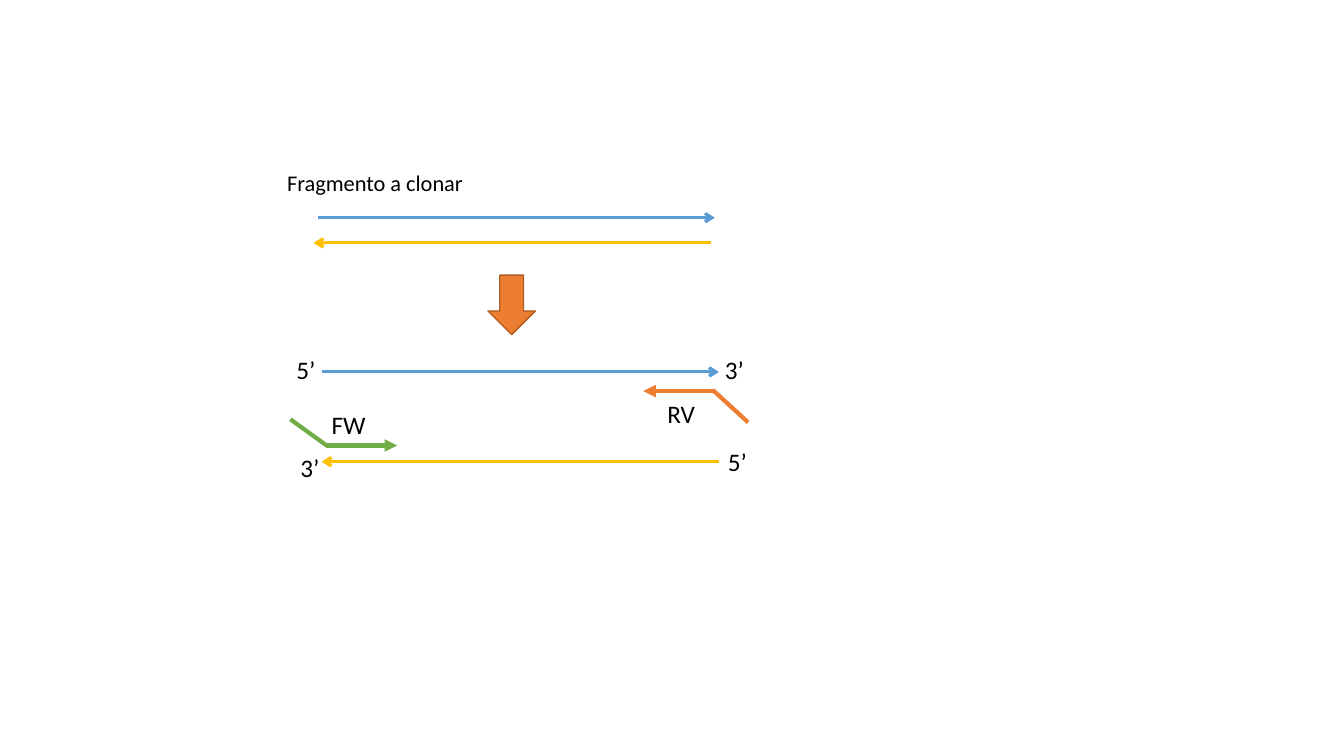
import pptx
import pptx.util
import pptx.dml.color
import pptx.enum.shapes
import pptx.enum.text
import lxml.etree
from pptx.util import Inches

INK = {"blue": "5B9BD5", "gold": "FFC000", "green": "70AD47",
       "orange": "ED7D31", "rust": "AF5C24", "black": "000000"}
NS = "http://schemas.openxmlformats.org/drawingml/2006/main"

deck = pptx.Presentation()
deck.slide_width = Inches(13.33)
deck.slide_height = Inches(7.5)
slide = deck.slides.add_slide(deck.slide_layouts[6])
shapes = slide.shapes


def color(name):
    return pptx.dml.color.RGBColor.from_string(INK[name])


def strand(start, end, ink, width, head=None):
    line = shapes.add_connector(pptx.enum.shapes.MSO_CONNECTOR.STRAIGHT,
                                *map(Inches, start + end))
    line.line.color.rgb = color(ink)
    line.line.width = pptx.util.Pt(width)
    if head:
        tip = lxml.etree.SubElement(line.line._get_or_add_ln(), f"{{{NS}}}tailEnd")
        tip.set("type", head)
    lxml.etree.SubElement(line._element.spPr, f"{{{NS}}}effectLst")


span = 3.94
for left, top, right, base in [(3.15, 2.16, 7.05, 2.41), (3.19, 3.69, 7.13, 4.58)]:
    strand((left, top), (left + span, top), "blue", 2.25, "arrow")
    strand((right, base), (right - span, base), "gold", 2.25, "arrow")

primers = [
    ((3.23, 4.42), (3.94, 4.42), (3.24, 4.42), (2.88, 4.16), "green"),
    ((7.09, 3.88), (6.38, 3.88), (7.07, 3.87), (7.42, 4.19), "orange"),
]
for start, end, bend, tail, ink in primers:
    strand(start, end, ink, 3, "triangle")
    strand(bend, tail, ink, 3)

step = shapes.add_shape(pptx.enum.shapes.MSO_SHAPE.DOWN_ARROW,
                        Inches(4.84), Inches(2.73), Inches(0.47), Inches(0.59))
step.shadow.inherit = False
step.fill.solid()
step.fill.fore_color.rgb = color("orange")
step.line.color.rgb = color("rust")
step.line.width = pptx.util.Pt(1)

labels = [
    ("Fragmento a clonar", 2.75, 1.63, 1.97, 0.37, 16),
    ("5’", 2.84, 3.47, 0.39, 0.4, 18),
    ("3’", 7.09, 3.47, 0.39, 0.4, 18),
    ("5’", 7.12, 4.38, 0.39, 0.4, 18),
    ("3’", 2.88, 4.44, 0.39, 0.4, 18),
    ("RV", 6.52, 3.9, 0.48, 0.4, 18),
    ("FW", 3.19, 4.01, 0.54, 0.4, 18),
]
for text, left, top, width, height, size in labels:
    box = shapes.add_textbox(*map(Inches, (left, top, width, height)))
    frame = box.text_frame
    frame.word_wrap = False
    frame.auto_size = pptx.enum.text.MSO_AUTO_SIZE.SHAPE_TO_FIT_TEXT
    frame.text = text
    font = frame.paragraphs[0].runs[0].font
    font.name = "Calibri"
    font.size = pptx.util.Pt(size)
    font.color.rgb = color("black")

deck.save("out.pptx")
